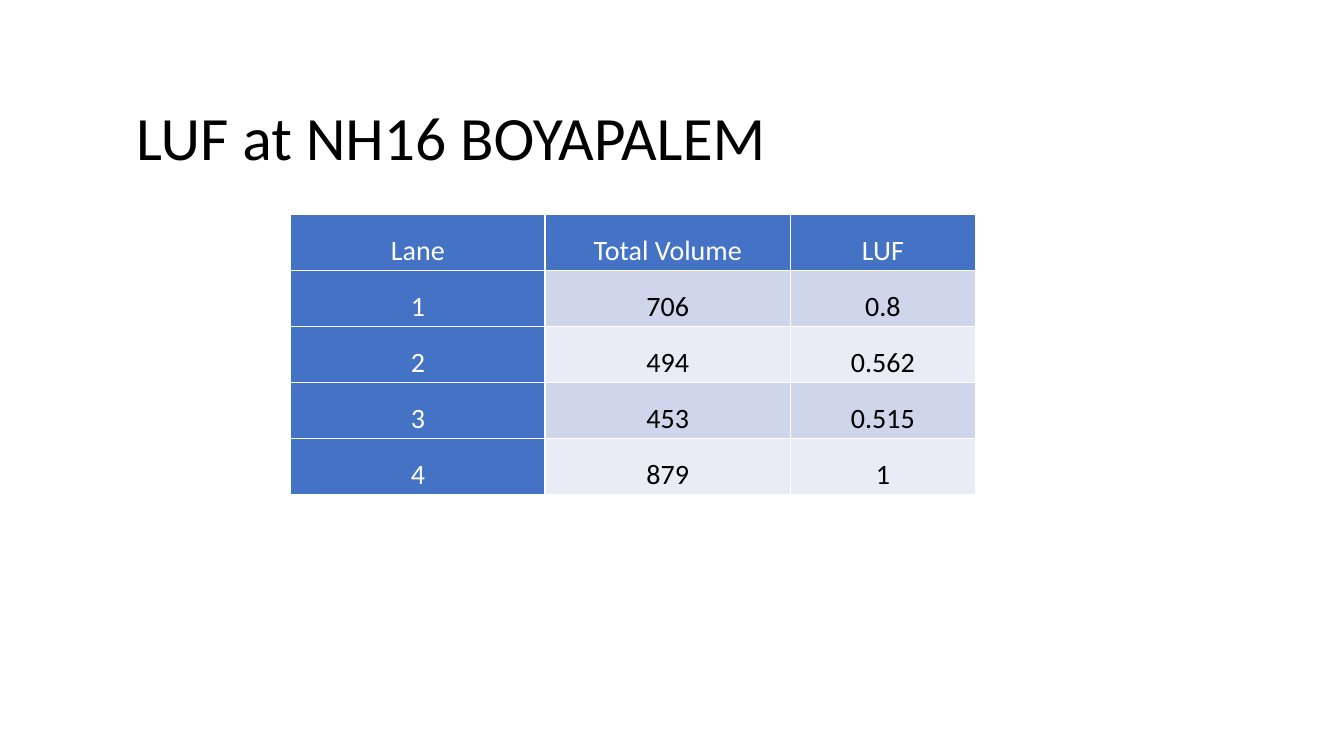
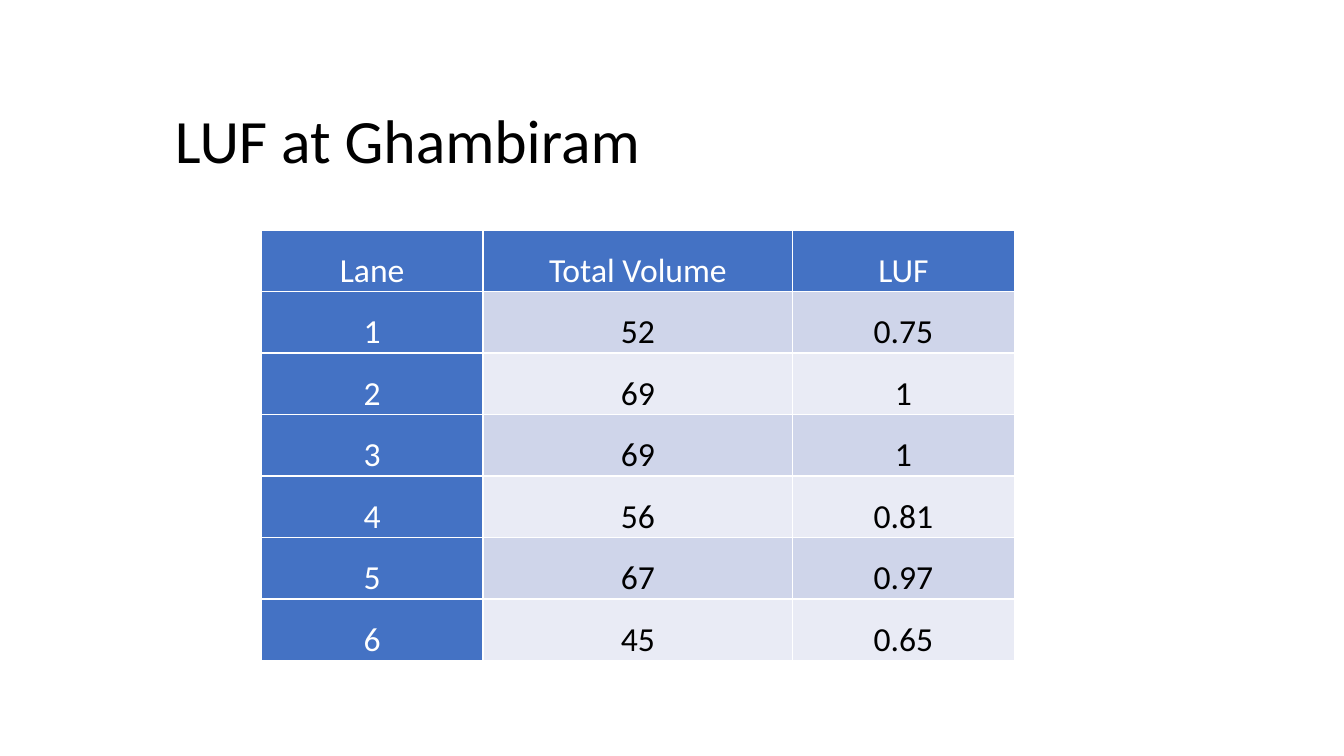
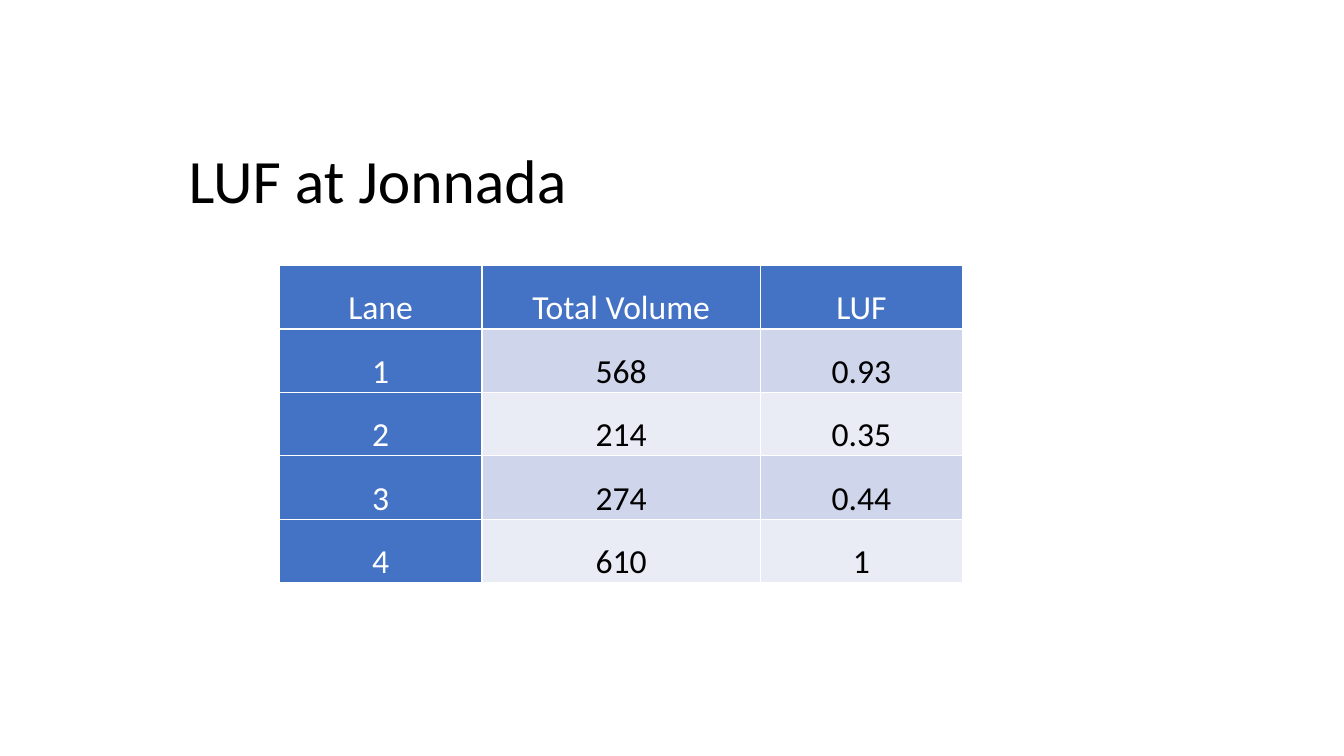
import dataclasses

import pptx
import pptx.dml.color
import pptx.enum.text
import pptx.oxml
import pptx.oxml.ns
import pptx.util

PX = 9525  # EMU in one px, 96 px to the inch
ANCHOR = pptx.enum.text.MSO_ANCHOR
ALIGN = pptx.enum.text.PP_ALIGN
HEADINGS = ("Lane", "Total Volume", "LUF")


@dataclasses.dataclass(frozen=True)
class Theme:
    font: str = "Calibri"
    title_size: int = 44
    text: str = "000000"
    head_text: str = "FFFFFF"
    head_fill: str = "4472C4"
    bands: tuple = ("E9EBF5", "CFD5EA")
    border: str = "FFFFFF"
    border_width: int = 1
    line_spacing: float = 1.5
    cell_margin: int = 7


def px(length):
    return pptx.util.Emu(length * PX)


def rgb(code):
    return pptx.dml.color.RGBColor.from_string(code)


class Deck:
    def __init__(self, theme):
        self.theme = theme
        self.deck = pptx.Presentation()
        self.deck.slide_width, self.deck.slide_height = px(1280), px(720)
        self.page = None

    def add_page(self):
        self.page = self.deck.slides.add_slide(self.deck.slide_layouts[5])

    def style(self, para, size, color, align):
        para.alignment = align
        para.font.name = self.theme.font
        para.font.size = pptx.util.Pt(size)
        para.font.bold = False
        para.font.color.rgb = rgb(color)

    def title(self, text, left, top, width):
        box = self.page.shapes.title
        box.left, box.top, box.width, box.height = map(px, (left, top, width, 81))
        box.text_frame.text = text
        box.text_frame.vertical_anchor = ANCHOR.TOP
        box.text_frame.auto_size = pptx.enum.text.MSO_AUTO_SIZE.NONE
        self.style(box.text_frame.paragraphs[0], self.theme.title_size,
                   self.theme.text, ALIGN.LEFT)

    def border(self, cell):
        # Border lines come before the fill in the cell properties
        properties = cell._tc.get_or_add_tcPr()
        for place, side in enumerate("LRTB"):
            properties.insert(place, pptx.oxml.parse_xml(
                f'<a:ln{side} {pptx.oxml.ns.nsdecls("a")} '
                f'w="{pptx.util.Pt(self.theme.border_width)}"><a:solidFill>'
                f'<a:srgbClr val="{self.theme.border}"/></a:solidFill></a:ln{side}>'))

    def cell(self, cell, text, size, anchor, fill, color):
        cell.text = text
        cell.vertical_anchor = anchor
        cell.margin_left = cell.margin_right = px(self.theme.cell_margin)
        cell.margin_top = cell.margin_bottom = 0
        cell.fill.solid()
        cell.fill.fore_color.rgb = rgb(fill)
        self.border(cell)
        para = cell.text_frame.paragraphs[0]
        para.line_spacing = self.theme.line_spacing
        self.style(para, size, color, ALIGN.CENTER)

    def table(self, lanes, left, top, widths, height, size, anchor):
        rows = [HEADINGS] + [(str(lane), *values)
                             for lane, values in enumerate(lanes, 1)]
        table = self.page.shapes.add_table(
            len(rows), len(widths), px(left), px(top),
            px(sum(widths)), px(height)).table
        table.first_col = True
        for column, width in zip(table.columns, widths):
            column.width = px(width)
        for r, row in enumerate(rows):
            for c, text in enumerate(row):
                if r == 0 or c == 0:
                    fill, color = self.theme.head_fill, self.theme.head_text
                else:
                    fill, color = self.theme.bands[r % 2], self.theme.text
                self.cell(table.cell(r, c), text, size, anchor, fill, color)


def main():
    deck = Deck(Theme())

    # NH16 Boyapalem
    deck.add_page()
    deck.title("LUF at NH16 BOYAPALEM", 120, 89, 942)
    deck.table([("706", "0.8"), ("494", "0.562"), ("453", "0.515"), ("879", "1")],
               277, 204, (242, 234, 176), 267, 20, ANCHOR.MIDDLE)

    # Ghambiram
    deck.add_page()
    deck.title("LUF at Ghambiram", 157, 92, 640)
    deck.table([("52", "0.75"), ("69", "1"), ("69", "1"),
                ("56", "0.81"), ("67", "0.97"), ("45", "0.65")],
               249, 219, (211, 295, 211), 403, 24, ANCHOR.BOTTOM)

    # Jonnada
    deck.add_page()
    deck.title("LUF at Jonnada", 170, 130, 640)
    deck.table([("568", "0.93"), ("214", "0.35"), ("274", "0.44"), ("610", "1")],
               266, 253, (193, 265, 193), 302, 24, ANCHOR.BOTTOM)

    deck.deck.save("out.pptx")


if __name__ == "__main__":
    main()
